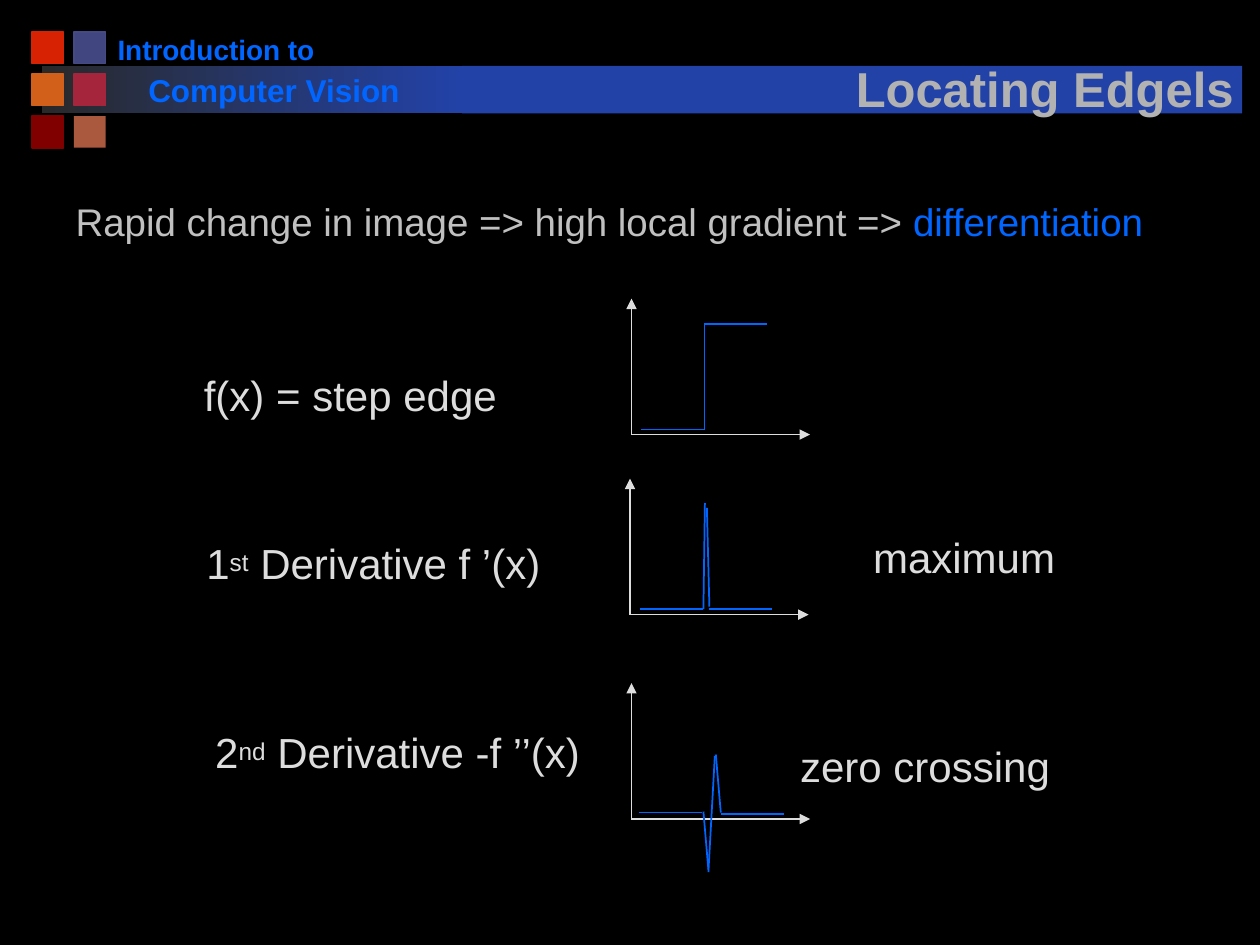
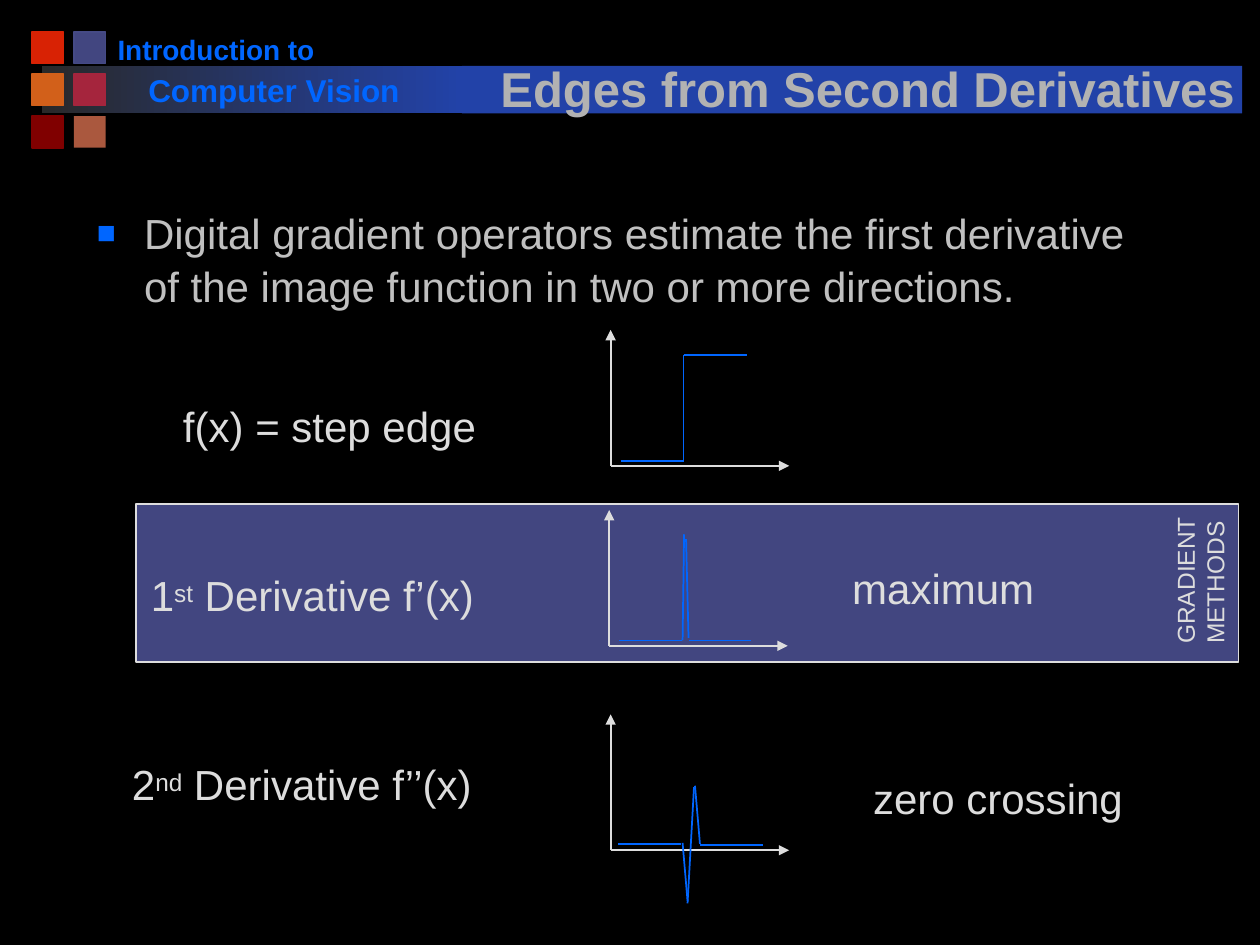
from lxml import etree
from pptx import Presentation
from pptx.dml.color import RGBColor
from pptx.enum.shapes import MSO_CONNECTOR, MSO_SHAPE
from pptx.enum.text import MSO_ANCHOR, MSO_AUTO_SIZE, PP_ALIGN
from pptx.oxml.ns import qn
from pptx.util import Cm, Pt

RECTANGLE = MSO_SHAPE.RECTANGLE
STRAIGHT = MSO_CONNECTOR.STRAIGHT
BOTTOM = MSO_ANCHOR.BOTTOM
LEFT, CENTER = PP_ALIGN.LEFT, PP_ALIGN.CENTER
FIXED, GROW = MSO_AUTO_SIZE.NONE, MSO_AUTO_SIZE.SHAPE_TO_FIT_TEXT

FONT = "Arial"
COLORS = {
    "background": "000000", "shadow": "000000",
    "band start": "292929", "band": "2242A8",
    "title": "B2B2B2", "body": "C0C0C0", "label": "DDDDDD",
    "accent": "0066FF", "panel": "424680", "panel edge": "454A85",
    "red": "D82204", "orange": "D2601A", "maroon": "800000",
    "crimson": "A5253D", "clay": "AA583E",
}
# Rows of (fill, edge)
SQUARES = [
    [("red", "red"), ("panel", "panel edge")],
    [("orange", "orange"), ("crimson", "crimson")],
    [("maroon", "maroon"), ("clay", None)],
]
SQUARE, SQUARE_PITCH = 0.64, 0.85

# Curve strokes in cm from the origin of the axes: x1, y1, x2, y2
AXES = [(0, 0, 0, -2.74), (0, 0, 3.6, 0)]
STEP = [(0.2, -0.1, 1.47, -0.1), (1.47, -2.23, 2.74, -2.23),
        (1.47, -2.23, 1.47, -0.1)]
SPIKE = [(0.2, -0.11, 1.47, -0.11), (1.6, -0.11, 2.87, -0.11),
         (1.51, -2.25, 1.48, -0.11), (1.55, -2.15, 1.6, -0.16)]
CROSSING = [(0.15, -0.13, 1.42, -0.13), (1.8, -0.1, 3.07, -0.1),
            (1.68, -1.27, 1.55, 1.07), (1.45, -0.15, 1.55, 1.02),
            (1.7, -1.3, 1.8, -0.13)]
PLOTS = [(12.73, 8.76, STEP), (12.7, 12.39, SPIKE), (12.73, 16.51, CROSSING)]


def rgb(name):
    return RGBColor.from_string(COLORS[name])


def add_xml(parent, tag, **attributes):
    return etree.SubElement(parent, qn(tag), attributes)


def write(paragraph, text, size=24, color="label", bold=False, align=LEFT,
          raised=False, shadow=False):
    """Append text to the paragraph as one formatted run."""
    paragraph.alignment = align
    run = paragraph.add_run()
    run.text = text
    font = run.font
    font.name, font.size, font.bold = FONT, Pt(size), bold
    font.color.rgb = rgb(color)
    properties = run._r.get_or_add_rPr()
    if raised:
        properties.set("baseline", "20000")
    if shadow:
        effects = etree.Element(qn("a:effectLst"))
        outer = add_xml(effects, "a:outerShdw", blurRad="0", dist="38100",
                        dir="2700000", algn="ctr")
        add_xml(outer, "a:srgbClr", val=COLORS["shadow"])
        properties.find(qn("a:solidFill")).addnext(effects)


class Deck:
    def __init__(self):
        self.file = Presentation()
        self.file.slide_width, self.file.slide_height = Cm(25.4), Cm(19.05)
        background = self.file.slide_master.background.fill
        background.solid()
        background.fore_color.rgb = rgb("background")
        self.layout = self.file.slide_layouts[1]
        self.slide = None

    def new_slide(self):
        first = self.slide is None
        self.slide = self.file.slides.add_slide(self.layout)
        if first:
            self.header()

    def header(self):
        """Draw the course banner and hand it to the layout."""
        before = len(self.slide.shapes)
        fade = self.box(0.85, 1.33, 8.47, 0.96, "band").fill
        fade.gradient()
        fade.gradient_angle = 0
        for stop, name in zip(fade.gradient_stops, ("band start", "band")):
            stop.color.rgb = rgb(name)
        for row, squares in enumerate(SQUARES):
            for column, (fill, edge) in enumerate(squares):
                self.box(SQUARE + column * SQUARE_PITCH,
                         SQUARE + row * SQUARE_PITCH,
                         SQUARE, SQUARE, fill, edge)
        self.box(9.31, 1.33, 15.73, 0.96, "band")
        course = dict(color="accent", bold=True)
        self.text(2.12, 0.53, 4.52, 0.94, "Introduction to", size=16, **course)
        self.text(2.74, 1.3, 7.19, 1.02, "Computer Vision", size=18, **course)
        for shape in list(self.slide.shapes)[before:]:
            self.layout.shapes._spTree.append(shape._element)

    def box(self, left, top, width, height, fill, edge=None):
        shape = self.slide.shapes.add_shape(
            RECTANGLE, Cm(left), Cm(top), Cm(width), Cm(height))
        shape.shadow.inherit = False
        shape.fill.solid()
        shape.fill.fore_color.rgb = rgb(fill)
        if edge:
            shape.line.color.rgb = rgb(edge)
            shape.line.width = Pt(1)
        else:
            shape.line.fill.background()
        return shape

    def line(self, x1, y1, x2, y2, color, arrow=False):
        connector = self.slide.shapes.add_connector(
            STRAIGHT, Cm(x1), Cm(y1), Cm(x2), Cm(y2))
        connector.line.color.rgb = rgb(color)
        connector.line.width = Pt(1)
        if arrow:
            add_xml(connector.line._get_or_add_ln(), "a:tailEnd",
                    type="triangle")
        add_xml(connector._element.spPr, "a:effectLst")

    def text(self, left, top, width, height, *lines, rotation=0, **style):
        """Add a text box; a line is a string or a list of (text, raised)."""
        label = self.slide.shapes.add_textbox(
            Cm(left), Cm(top), Cm(width), Cm(height))
        label.rotation = rotation
        frame = label.text_frame
        frame.word_wrap, frame.auto_size = False, GROW
        for number, line in enumerate(lines):
            paragraph = frame.add_paragraph() if number else frame.paragraphs[0]
            parts = [(line, False)] if isinstance(line, str) else line
            for part, raised in parts:
                write(paragraph, part, raised=raised, **style)

    def place(self, holder, left, top, width, height):
        """Move a placeholder and return its first paragraph."""
        holder.left, holder.top = Cm(left), Cm(top)
        holder.width, holder.height = Cm(width), Cm(height)
        frame = holder.text_frame
        frame.word_wrap, frame.auto_size = True, FIXED
        return frame.paragraphs[0]

    def title(self, text, left, width):
        holder = self.slide.shapes.title
        paragraph = self.place(holder, left, 0.79, width, 1.7)
        holder.text_frame.vertical_anchor = BOTTOM
        write(paragraph, text, size=28, color="title", bold=True,
              align=CENTER, shadow=True)

    def body(self, left, top, width, height, parts, size, bullet=False):
        """Fill the body placeholder with parts of (text, color)."""
        paragraph = self.place(self.slide.placeholders[1],
                               left, top, width, height)
        properties = paragraph._p.get_or_add_pPr()
        properties.set("marL", str(Cm(0.95)))
        properties.set("indent", str(-Cm(0.95)))
        if bullet:
            color = add_xml(properties, "a:buClr")
            add_xml(color, "a:srgbClr", val=COLORS["accent"])
            add_xml(properties, "a:buSzPct", val="75000")
            add_xml(properties, "a:buFont", typeface=FONT)
            add_xml(properties, "a:buChar", char="■")
        else:
            add_xml(properties, "a:buNone")
        paragraph.space_before = Pt(0)
        paragraph.line_spacing = 1.05
        for text, name in parts:
            write(paragraph, text, size=size, color=name)

    def derivatives(self, first, second, crossing_left, dx=0, dy=0):
        """Draw the three plots with labels; first and second are
        (left, width, text after the ordinal)."""
        for x, y, curve in PLOTS:
            for strokes, color, arrow in ((AXES, "label", True),
                                          (curve, "accent", False)):
                for x1, y1, x2, y2 in strokes:
                    self.line(x + dx + x1, y + dy + y1,
                              x + dx + x2, y + dy + y2, color, arrow)
        self.text(3.86 + dx, 7.32 + dy, 6.43, 1.27, "f(x) = step edge")
        ordinals = (("1", "st", 10.72, first), ("2", "nd", 14.53, second))
        for digit, suffix, top, (left, width, rest) in ordinals:
            self.text(left, top + dy, width, 1.27,
                      [(digit, False), (suffix, True), (rest, False)])
        self.text(17.35 + dx, 10.59 + dy, 4.19, 1.27, "maximum")
        self.text(crossing_left, 14.81 + dy, 5.56, 1.27, "zero crossing")


def locating_edgels(deck):
    deck.new_slide()
    deck.title("Locating Edgels", 16.92, 8.28)
    deck.body(1.27, 3.81, 23.06, 1.27, [
        ("Rapid change in image => high local gradient => ", "body"),
        ("differentiation", "accent"),
    ], size=22)
    deck.derivatives((3.91, 7.32, " Derivative f ’(x)"),
                     (4.09, 7.98, " Derivative -f ’’(x)"), 15.88)


def second_derivatives(deck):
    deck.new_slide()
    deck.title("Edges from Second Derivatives", 9.63, 15.72)
    deck.body(1.7, 4.01, 21.79, 2.34, [
        ("Digital gradient operators estimate the first derivative of the "
         "image function in two or more directions.", "body"),
    ], size=24, bullet=True)
    deck.box(2.74, 10.16, 22.23, 3.18, "panel", "label")
    deck.derivatives((2.79, 7.06, " Derivative f’(x)"),
                     (2.41, 7.44, " Derivative f’’(x)"), 17.35,
                     dx=-0.42, dy=0.63)
    deck.text(22.66, 10.97, 3.07, 1.45, "GRADIENT", "METHODS",
              rotation=270, size=14)


def main():
    deck = Deck()
    locating_edgels(deck)
    second_derivatives(deck)
    deck.file.save("out.pptx")


if __name__ == "__main__":
    main()
